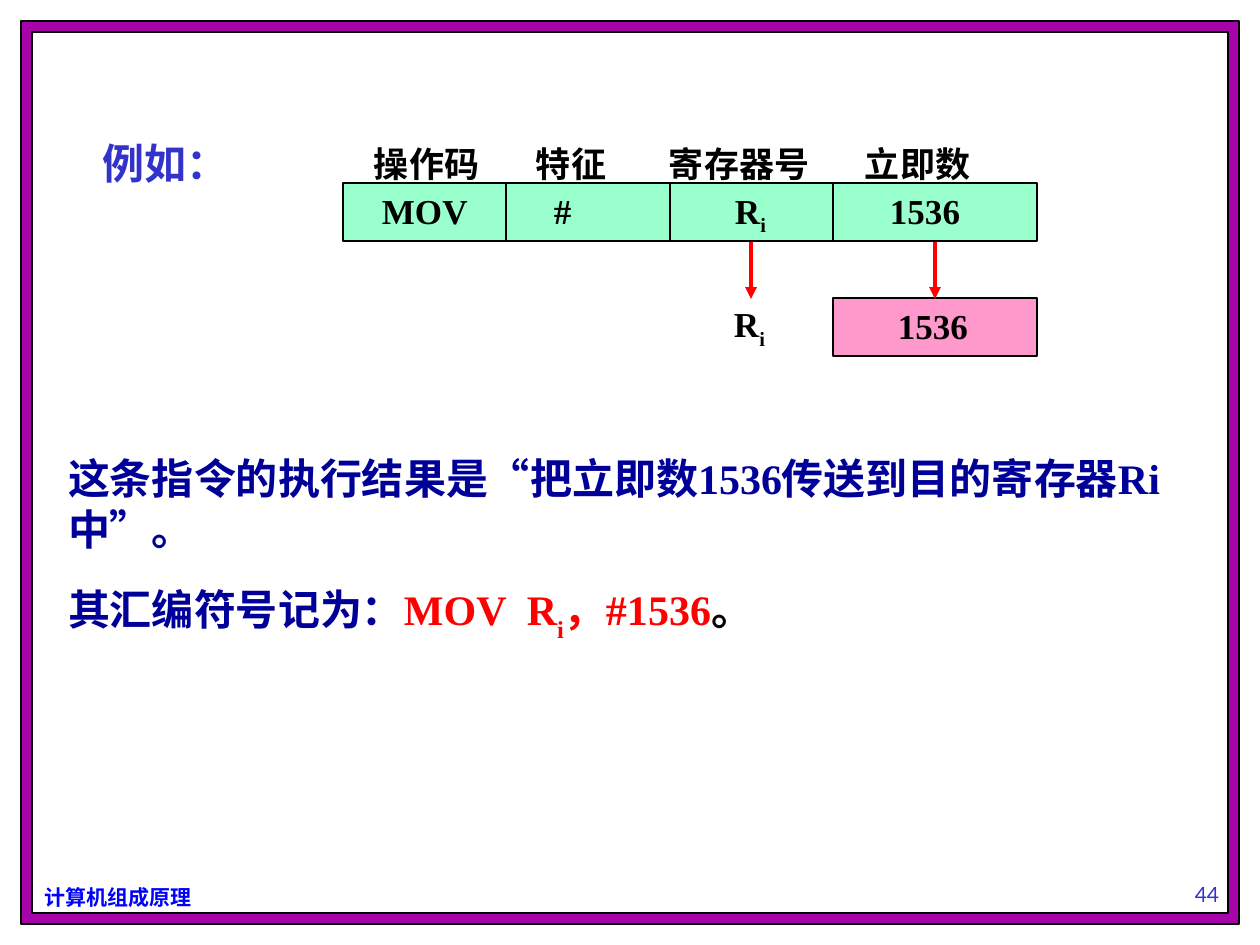
from pptx import Presentation
from pptx import util as u
from pptx.dml.color import RGBColor
from pptx.enum import shapes, text
from pptx.oxml.ns import qn
from lxml import etree

SERIF = "Times New Roman"
BLACK = "000000"
RED = "FF0000"
NAVY = "000099"
MINT = "99FFCC"
PINK = "FF99CC"
ROW_TOP, ROW_HEIGHT = 183, 58
FIELDS = [
    ("操作码", 374, ["MOV"], 382, 343, 506),
    ("特征", 536, ["#"], 554, 506, 670),
    ("寄存器号", 669, ["R", "i"], 735, 670, 833),
    ("立即数", 865, ["1536"], 890, 833, 1037),
]


def px(length):
    return u.Emu(round(length * 914400 / 126))


def color(hex_code):
    return RGBColor.from_string(hex_code)


def add_run(paragraph, words, size=20, font=SERIF, ink=BLACK, bold=True, baseline=0):
    run = paragraph.add_run()
    run.text = words
    run.font.size = u.Pt(size)
    run.font.name = font
    run.font.bold = bold
    run.font.color.rgb = color(ink)
    if baseline:
        run.font._element.set("baseline", str(baseline * 1000))


def add_symbol(paragraph, parts):
    for words, baseline in zip(parts, (0, -25)):
        add_run(paragraph, words, baseline=baseline)


def set_frame(frame, left_inset=13, wrap=True, anchor=text.MSO_ANCHOR.TOP):
    frame.word_wrap = wrap
    frame.vertical_anchor = anchor
    frame.margin_left = px(left_inset)
    frame.margin_right = px(13 if wrap else 0)
    frame.margin_top = frame.margin_bottom = px(6)


def add_text(slide, left, top, width, height, words="", align=text.PP_ALIGN.LEFT,
             anchor=text.MSO_ANCHOR.TOP, wrap=True, **style):
    frame = slide.shapes.add_textbox(px(left), px(top), px(width), px(height)).text_frame
    set_frame(frame, wrap=wrap, anchor=anchor)
    frame.paragraphs[0].alignment = align
    if words:
        add_run(frame.paragraphs[0], words, **style)
    return frame


def add_box(slide, left, top, width, height, fill):
    box = slide.shapes.add_shape(shapes.MSO_SHAPE.RECTANGLE,
                                 px(left), px(top), px(width), px(height))
    box.shadow.inherit = False
    box.fill.solid()
    box.fill.fore_color.rgb = color(fill)
    box.line.color.rgb = color(BLACK)
    box.line.width = u.Pt(0.75)
    return box


def add_cell(slide, left, right, top, fill, parts, text_left):
    cell = add_box(slide, left, top, right - left, ROW_HEIGHT, fill)
    set_frame(cell.text_frame, left_inset=text_left - left, wrap=False)
    paragraph = cell.text_frame.paragraphs[0]
    paragraph.alignment = text.PP_ALIGN.LEFT
    add_symbol(paragraph, parts)


def add_arrow(slide, x, top, bottom):
    arrow = slide.shapes.add_connector(shapes.MSO_CONNECTOR.STRAIGHT,
                                       px(x), px(top), px(x), px(bottom))
    arrow.line.color.rgb = color(RED)
    arrow.line.width = u.Pt(2.25)
    etree.SubElement(arrow.line._get_or_add_ln(), qn("a:tailEnd"), type="triangle")
    etree.SubElement(arrow._element.spPr, qn("a:effectLst"))


def add_frame_and_footer(slide):
    add_box(slide, 21, 21, 1218, 903, "A603AB")
    add_box(slide, 32, 32, 1196, 881, "FFFFFF")
    add_text(slide, 32, 879, 171, 38, "计算机组成原理", wrap=False,
             size=12, font="Noto Sans CJK SC", ink="0000FF")
    add_text(slide, 1157, 850, 100, 63, "44", align=text.PP_ALIGN.CENTER,
             anchor=text.MSO_ANCHOR.BOTTOM, size=12, font="Lato",
             ink="3333CC", bold=False)


def add_instruction(slide):
    add_text(slide, 90, 132, 150, 113, "例如：", size=24, ink="3333CC")
    for label, label_left, parts, text_left, left, right in FIELDS:
        add_text(slide, label_left - 13, 136, 170, 47, label, wrap=False)
        add_cell(slide, left, right, ROW_TOP, MINT, parts, text_left)
    register = add_text(slide, 721, 297, 90, 50)
    add_symbol(register.paragraphs[0], ["R", "i"])
    add_cell(slide, 833, 1037, 298, PINK, ["1536"], 898)
    for x in (751, 935):
        add_arrow(slide, x, 242, 299)


def add_explanation(slide):
    body = add_text(slide, 55, 447, 1168, 192,
                    "这条指令的执行结果是“把立即数1536传送到目的寄存器Ri中”。",
                    size=24, ink=NAVY)
    body.paragraphs[0].space_before = u.Pt(6)
    notation = body.add_paragraph()
    notation.space_before = u.Pt(17)
    for words, ink, baseline in [
        ("其汇编符号记为：", NAVY, 0),
        ("MOV  R", RED, 0),
        ("i", RED, -30),
        ("，#1536", RED, 0),
        ("。", BLACK, 0),
    ]:
        add_run(notation, words, size=24, ink=ink, baseline=baseline)


def main():
    deck = Presentation()
    deck.slide_width, deck.slide_height = px(1260), px(945)
    slide = deck.slides.add_slide(deck.slide_layouts.get_by_name("Blank"))
    add_frame_and_footer(slide)
    add_explanation(slide)
    add_instruction(slide)
    deck.save("out.pptx")


if __name__ == "__main__":
    main()
